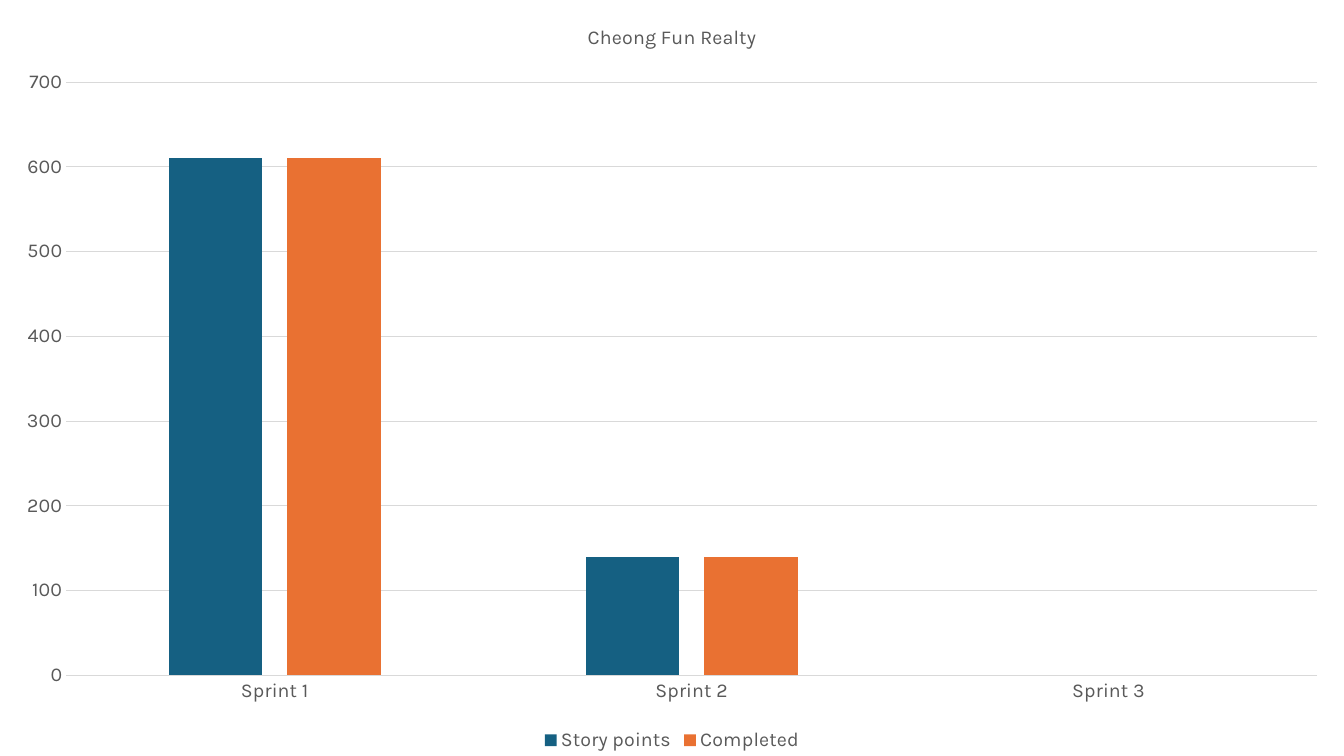
from pptx import Presentation
from pptx.chart.data import CategoryChartData
from pptx.dml.color import RGBColor
from pptx.enum.chart import XL_CHART_TYPE, XL_LEGEND_POSITION, XL_TICK_MARK
from pptx.util import Inches, Pt

COLUMN = XL_CHART_TYPE.COLUMN_CLUSTERED
BOTTOM = XL_LEGEND_POSITION.BOTTOM
NO_TICK = XL_TICK_MARK.NONE

# Content
TITLE = "Cheong Fun Realty"
SPRINTS = ["Sprint 1", "Sprint 2", "Sprint 3"]
SERIES = [
    ("Story points", [610, 140, None], "156082"),
    ("Completed", [610, 140, None], "E97132"),
]
FACE, SIZE = "Karla", 14
GREY, RULE = "595959", "D9D9D9"
WIDTH, HEIGHT = Inches(13.33), Inches(7.5)


def color(code):
    return RGBColor.from_string(code)


def style(font):
    font.name = FACE
    font.size = Pt(SIZE)
    font.bold = False
    font.color.rgb = color(GREY)


def rule(line):
    line.color.rgb = color(RULE)
    line.width = Pt(0.75)


# Slide
deck = Presentation()
deck.slide_width, deck.slide_height = WIDTH, HEIGHT
slide = deck.slides.add_slide(deck.slide_layouts[6])

# Chart over the whole slide
data = CategoryChartData()
data.categories = SPRINTS
for name, points, _ in SERIES:
    data.add_series(name, points)
chart = slide.shapes.add_chart(COLUMN, 0, 0, WIDTH, HEIGHT, data).chart
style(chart.font)

# Title
chart.has_title = True
title = chart.chart_title
title.include_in_layout = False
title.text_frame.text = TITLE
style(title.text_frame.paragraphs[0].runs[0].font)

# Columns
plot = chart.plots[0]
plot.gap_width, plot.overlap = 219, -27
plot.vary_by_categories = False
for bars, (_, _, code) in zip(plot.series, SERIES):
    bars.format.fill.solid()
    bars.format.fill.fore_color.rgb = color(code)
    bars.invert_if_negative = False

# Axes
sprints, points = chart.category_axis, chart.value_axis
for axis in (sprints, points):
    axis.major_tick_mark = axis.minor_tick_mark = NO_TICK
    style(axis.tick_labels.font)
rule(sprints.format.line)
points.format.line.fill.background()
points.minimum_scale, points.maximum_scale, points.major_unit = 0, 700, 100
points.has_major_gridlines = True
rule(points.major_gridlines.format.line)

# Legend
chart.has_legend = True
chart.legend.position = BOTTOM
chart.legend.include_in_layout = False
style(chart.legend.font)

deck.save("out.pptx")
